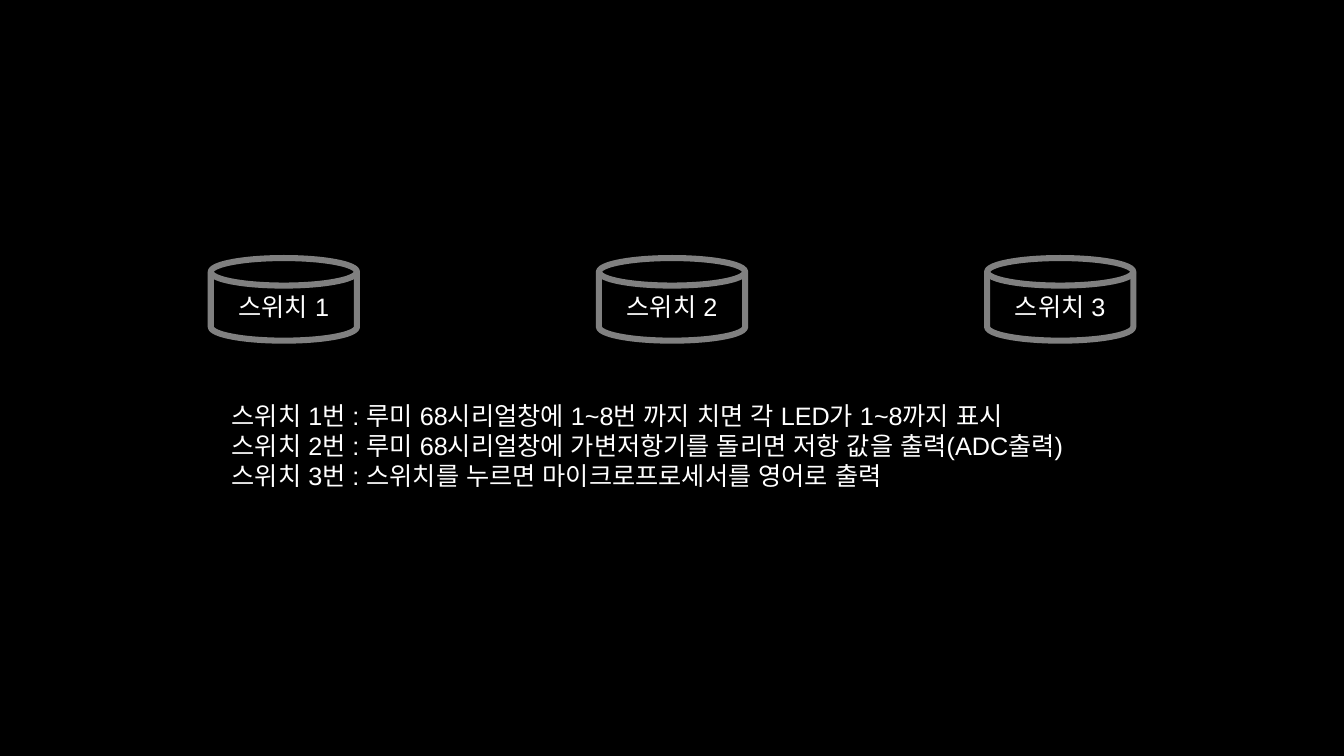
from lxml.etree import SubElement
from pptx import Presentation
from pptx.dml.color import RGBColor
from pptx.enum.shapes import MSO_SHAPE
from pptx.enum.text import MSO_ANCHOR, PP_ALIGN
from pptx.oxml.ns import qn
from pptx.util import Inches, Pt

BLACK, WHITE, GRAY = "000000", "FFFFFF", "808080"
SWITCH_NOTES = [
    "스위치 1번 : 루미 68시리얼창에 1~8번 까지 치면 각 LED가 1~8까지 표시",
    "스위치 2번 : 루미 68시리얼창에 가변저항기를 돌리면 저항 값을 출력(ADC출력)",
    "스위치 3번 : 스위치를 누르면 마이크로프로세서를 영어로 출력",
]


def rgb(value):
    """Turn a hex string into a colour."""
    return RGBColor.from_string(value)


def set_text(sp, lines, size=18, color=WHITE, font="Arial", align=PP_ALIGN.LEFT):
    """Write lines as paragraphs, centred vertically in a shape."""
    tf = sp.text_frame
    tf.word_wrap = True
    tf.vertical_anchor = MSO_ANCHOR.MIDDLE
    for i, line in enumerate(lines):
        p = tf.paragraphs[0] if i == 0 else tf.add_paragraph()
        p.alignment = align
        r = p.add_run()
        r.text = line
        r.font.name = font
        r.font.size = Pt(size)
        r.font.color.rgb = rgb(color)
        for tag in ("a:ea", "a:cs"):
            SubElement(r._r.get_or_add_rPr(), qn(tag), typeface=font)


def add_notes(s, x, y, w, h, lines):
    """Add the text box that explains the switches."""
    sp = s.shapes.add_textbox(Inches(x), Inches(y), Inches(w), Inches(h))
    sp.text_frame.margin_right = Inches(0.2)
    set_text(sp, lines)


def add_switch(s, x, y, label):
    """Add one labelled switch drawn as a disk."""
    sp = s.shapes.add_shape(MSO_SHAPE.FLOWCHART_MAGNETIC_DISK,
                            Inches(x), Inches(y), Inches(1.45), Inches(0.82))
    sp.shadow.inherit = False
    sp.fill.solid()
    sp.fill.fore_color.rgb = rgb(BLACK)
    sp.line.color.rgb = rgb(GRAY)
    sp.line.width = Pt(4.33)
    set_text(sp, [label], align=PP_ALIGN.CENTER)


def main():
    """Build the slide and save it."""
    prs = Presentation()
    prs.slide_width, prs.slide_height = Inches(13.33), Inches(7.5)
    s = prs.slides.add_slide(prs.slide_layouts[6])
    s.background.fill.solid()
    s.background.fill.fore_color.rgb = rgb(BLACK)
    add_notes(s, 2.2, 3.38, 8.93, 2.08, SWITCH_NOTES)
    for i in range(3):
        add_switch(s, 2.09 + 3.85 * i, 2.56, f"스위치 {i + 1}")
    prs.save("out.pptx")


if __name__ == "__main__":
    main()
